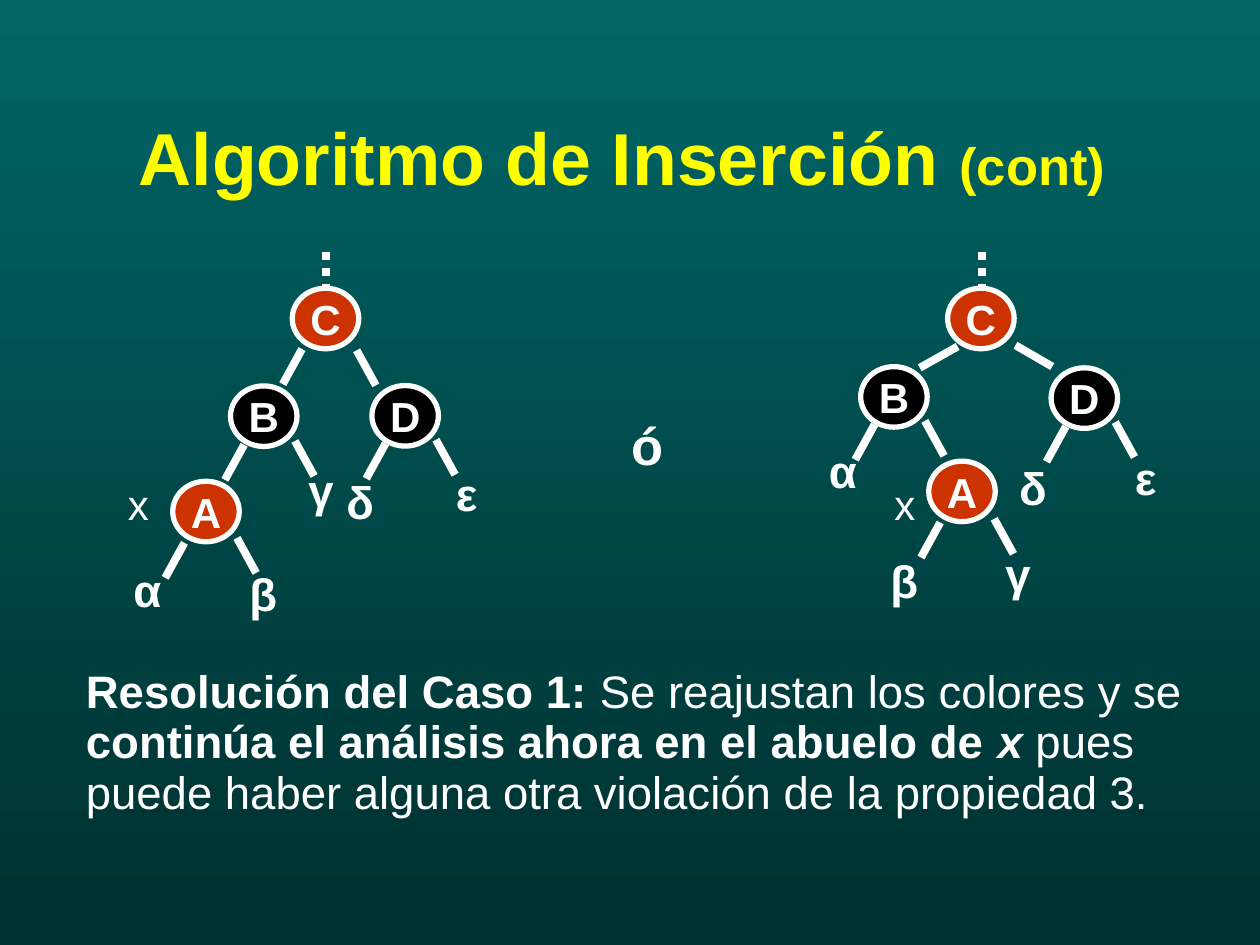
"""Build the slide on case 1 of red-black tree insertion."""
import pptx
import pptx.dml.color
import pptx.enum.dml
import pptx.enum.shapes
import pptx.enum.text
import pptx.oxml
import pptx.util

Pt = pptx.util.Pt
RGBColor = pptx.dml.color.RGBColor

WHITE = RGBColor(0xFF, 0xFF, 0xFF)
BLACK = RGBColor(0x00, 0x00, 0x00)
RED = RGBColor(0xCC, 0x33, 0x00)
YELLOW = RGBColor(0xFF, 0xFF, 0x00)
TEAL = RGBColor(0x00, 0x66, 0x66)
DARK_TEAL = RGBColor(0x00, 0x2F, 0x2F)

FONT = "Arial"
NODE_WIDTH, NODE_HEIGHT = 38, 34.6
LEAF_WIDTH, LEAF_HEIGHT = 30, 39
LEFT, RIGHT = (-11, 20), (11, 20)
WIDE_LEFT, WIDE_RIGHT = (-21.6, 12.2), (21, 12.2)
ROOT_STUB = (0, 20)

LEFT_TREE = {
    "nodes": [("C", 186, 182, RED), ("B", 150.7, 237.8, BLACK),
              ("D", 231.5, 237.6, BLACK), ("A", 117.7, 292.3, RED)],
    "edges": [(172.6, 199.5, LEFT), (203.8, 200.2, RIGHT),
              (139.5, 254.2, LEFT), (168.5, 252, RIGHT),
              (220.3, 253.5, LEFT), (249.1, 251.3, RIGHT),
              (105.4, 310.2, LEFT), (135.4, 307.4, RIGHT)],
    "root": (186.5, 144),
    "leaves": [("α", 69.1, 317.5), ("β", 135.4, 319.7), ("γ", 169.2, 260.6),
               ("δ", 190.8, 267.1), ("ε", 253.4, 262.8)],
}
RIGHT_TREE = {
    "nodes": [("C", 560.5, 182, RED), ("B", 510.8, 226.8, BLACK),
              ("D", 619.6, 227.5, BLACK), ("A", 549.7, 280.8, RED)],
    "edges": [(547.2, 198, WIDE_LEFT), (580.3, 197.3, WIDE_RIGHT),
              (499.7, 242.7, LEFT), (528.5, 240.5, RIGHT),
              (609, 243.8, LEFT), (637.3, 241.2, RIGHT),
              (537.3, 298.6, LEFT), (568.1, 296.5, RIGHT)],
    "root": (560.9, 144),
    "leaves": [("α", 466.6, 249.8), ("β", 501.8, 312.5), ("γ", 567.4, 308.2),
               ("δ", 575.3, 259.2), ("ε", 641.5, 253.4)],
}
EXPLANATION = [
    ("Resolución del Caso 1:", True, False),
    (" Se reajustan los colores y se ", False, False),
    ("continúa el análisis ahora en el abuelo de ", True, False),
    ("x", True, True),
    (" pues puede haber alguna otra violación de la propiedad 3.", False, False),
]


def style_font(font, size, color=WHITE, bold=True, italic=False):
    """Apply the slide's typeface with the given size and look."""
    font.name = FONT
    font.size = Pt(size)
    font.bold = bold
    font.italic = italic
    font.color.rgb = color


def add_runs(paragraph, pieces, size):
    """Add (text, bold, italic) pieces to a paragraph."""
    for text, bold, italic in pieces:
        run = paragraph.add_run()
        run.text = text
        style_font(run.font, size, bold=bold, italic=italic)


def add_text(shapes, box, pieces, size, line_spacing=1.0):
    """Add a wrapped text box that grows with its text."""
    label = shapes.add_textbox(*map(Pt, box))
    frame = label.text_frame
    frame.word_wrap = True
    frame.auto_size = pptx.enum.text.MSO_AUTO_SIZE.SHAPE_TO_FIT_TEXT
    frame.paragraphs[0].line_spacing = line_spacing
    add_runs(frame.paragraphs[0], pieces, size)


def add_node(shapes, letter, center_x, center_y, color):
    """Add a tree node with its letter."""
    node = shapes.add_shape(
        pptx.enum.shapes.MSO_SHAPE.OVAL,
        Pt(center_x - NODE_WIDTH / 2), Pt(center_y - NODE_HEIGHT / 2),
        Pt(NODE_WIDTH), Pt(NODE_HEIGHT))
    node.shadow.inherit = False
    node.fill.solid()
    node.fill.fore_color.rgb = color
    node.line.color.rgb = WHITE
    node.line.width = Pt(3)
    frame = node.text_frame
    frame.margin_left = frame.margin_right = 0
    frame.margin_top = frame.margin_bottom = 0
    frame.word_wrap = False
    frame.vertical_anchor = pptx.enum.text.MSO_ANCHOR.MIDDLE
    frame.text = letter
    frame.paragraphs[0].alignment = pptx.enum.text.PP_ALIGN.CENTER
    style_font(frame.paragraphs[0].runs[0].font, 24)


def add_edge(shapes, x, y, step, dash=None):
    """Add a white branch that leaves a point by the given step."""
    edge = shapes.add_connector(
        pptx.enum.shapes.MSO_CONNECTOR.STRAIGHT,
        Pt(x), Pt(y), Pt(x + step[0]), Pt(y + step[1]))
    edge.line.color.rgb = WHITE
    edge.line.width = Pt(4.5)
    if dash is not None:
        edge.line.dash_style = dash
    properties = edge._element.spPr
    properties.append(pptx.oxml.parse_xml(
        '<a:effectLst xmlns:a="http://schemas.openxmlformats.org/drawingml/2006/main"/>'))


def add_tree(slide, tree):
    """Add a grouped tree of branches, nodes and subtree labels."""
    shapes = slide.shapes.add_group_shape().shapes
    for node in tree["nodes"]:
        add_node(shapes, *node)
    for edge in tree["edges"]:
        add_edge(shapes, *edge)
    add_edge(shapes, *tree["root"], ROOT_STUB,
             pptx.enum.dml.MSO_LINE.ROUND_DOT)
    for letter, left, top in tree["leaves"]:
        add_text(shapes, (left, top, LEAF_WIDTH, LEAF_HEIGHT),
                 [(letter, True, False)], 26)


def set_background(slide):
    """Fill the background from teal down to dark teal."""
    fill = slide.background.fill
    fill.gradient()
    fill.gradient_angle = 270
    for stop, color in zip(fill.gradient_stops, (TEAL, DARK_TEAL)):
        stop.color.rgb = color


def set_title(slide):
    """Place and format the title with its smaller suffix."""
    title = slide.shapes.title
    title.left, title.top, title.width, title.height = map(Pt, (72, 48, 648, 90))
    frame = title.text_frame
    frame.auto_size = pptx.enum.text.MSO_AUTO_SIZE.NONE
    frame.vertical_anchor = pptx.enum.text.MSO_ANCHOR.MIDDLE
    heading = frame.paragraphs[0]
    heading.alignment = pptx.enum.text.PP_ALIGN.LEFT
    heading.line_spacing = 0.85
    for text, size in (("Algoritmo de Inserción ", 42), ("(cont)", 30)):
        run = heading.add_run()
        run.text = text
        style_font(run.font, size, YELLOW)


def main():
    """Build and save the slide."""
    presentation = pptx.Presentation()
    presentation.slide_width, presentation.slide_height = Pt(720), Pt(540)
    slide = presentation.slides.add_slide(presentation.slide_layouts[5])
    set_background(slide)
    set_title(slide)
    add_tree(slide, RIGHT_TREE)
    add_text(slide.shapes, (354, 235.5, 30, 41), [("ó", True, False)], 30, 0.93)
    add_tree(slide, LEFT_TREE)
    add_text(slide.shapes, (42, 378, 654, 94), EXPLANATION, 26, 0.93)
    for left in (66, 504):
        add_text(slide.shapes, (left, 270, 30, 36), [("x", False, False)], 24)
    presentation.save("out.pptx")


if __name__ == "__main__":
    main()
